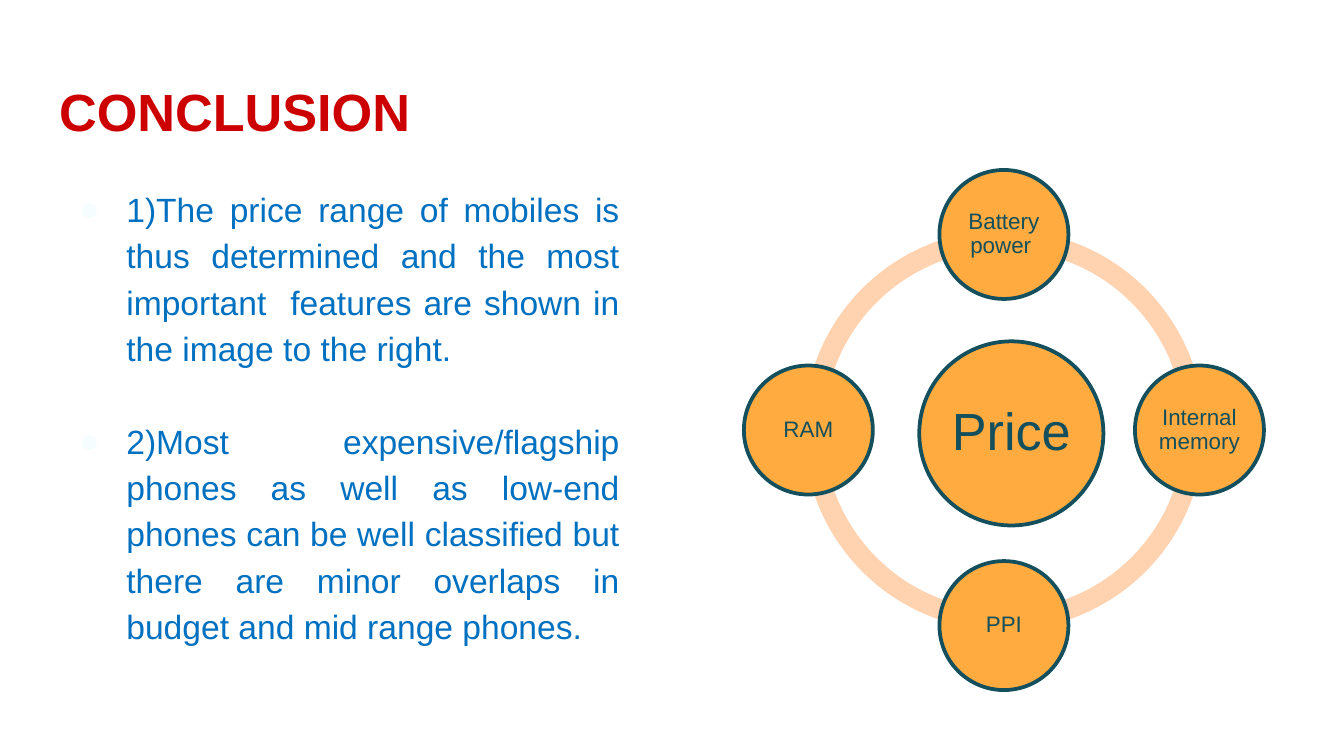
import math

import pptx
import pptx.dml.color
import pptx.enum.shapes
import pptx.enum.text
import pptx.util
from lxml import etree
from pptx.oxml.ns import qn

RED = pptx.dml.color.RGBColor(0xCC, 0x00, 0x00)
BLUE = pptx.dml.color.RGBColor(0x00, 0x70, 0xC0)
TEAL = pptx.dml.color.RGBColor(0x13, 0x4F, 0x5C)
ORANGE = pptx.dml.color.RGBColor(0xFF, 0xAB, 0x40)
PEACH = pptx.dml.color.RGBColor(0xFF, 0xD2, 0xB0)
PALE = pptx.dml.color.RGBColor(0xF5, 0xFD, 0xFF)

SHAPES = pptx.enum.shapes.MSO_SHAPE
ALIGN = pptx.enum.text.PP_ALIGN
ANCHOR = pptx.enum.text.MSO_ANCHOR

POINTS = [
    "1)The price range of mobiles is thus determined and the most "
    "important  features are shown in the image to the right.",
    "2)Most expensive/flagship phones as well as low-end phones can be well "
    "classified but there are minor overlaps in budget and mid range phones.",
]
FEATURES = ["Battery power ", "Internal memory", "PPI", "RAM"]


class SlideBuilder:
    """Draws styled elements on one slide, on a grid 100 columns wide with square cells."""

    def __init__(self, deck, font="Arial"):
        self.font = font
        self.cell = deck.slide_width / 100
        self.slide = deck.slides.add_slide(deck.slide_layouts[1])

    def grid(self, *cells):
        return [round(count * self.cell) for count in cells]

    def style(self, para, size, color, align, spacing=1.0, bold=False):
        para.font.name = self.font
        para.font.size = pptx.util.Pt(size)
        para.font.color.rgb = color
        para.font.bold = bold
        para.alignment = align
        para.line_spacing = spacing
        para.space_before = pptx.util.Pt(0)

    def inset(self, frame, cells):
        margin = self.grid(cells)[0]
        frame.margin_left = frame.margin_right = margin
        frame.margin_top = frame.margin_bottom = margin

    def placeholder(self, box, area):
        box.left, box.top, box.width, box.height = self.grid(*area)
        frame = box.text_frame
        frame.auto_size = pptx.enum.text.MSO_AUTO_SIZE.NONE
        frame.word_wrap = True
        frame.vertical_anchor = ANCHOR.TOP
        self.inset(frame, 1)
        return frame

    def title(self, text, area):
        frame = self.placeholder(self.slide.shapes.title, area)
        frame.text = text
        self.style(frame.paragraphs[0], 28, RED, ALIGN.LEFT, bold=True)

    def bullets(self, texts, area, gap):
        frame = self.placeholder(self.slide.placeholders[1], area)
        frame.text = "\n".join(texts)
        for index, para in enumerate(frame.paragraphs):
            self.style(para, 18, BLUE, ALIGN.JUSTIFY, spacing=1.15)
            if index:
                para.space_before = pptx.util.Pt(gap)
            self.bullet(para)

    def bullet(self, para):
        properties = para._p.get_or_add_pPr()
        margin, indent = self.grid(5, -3.5)
        properties.set("marL", str(margin))
        properties.set("indent", str(indent))
        color = etree.SubElement(properties, qn("a:buClr"))
        etree.SubElement(color, qn("a:srgbClr"), val=str(PALE))
        etree.SubElement(properties, qn("a:buChar"), char="●")

    def shape(self, kind, center, diameter, fill):
        left, top = (middle - diameter / 2 for middle in center)
        shape = self.slide.shapes.add_shape(kind, *self.grid(left, top, diameter, diameter))
        shape.shadow.inherit = False
        shape.fill.solid()
        shape.fill.fore_color.rgb = fill
        return shape

    def arc(self, center, diameter, start, sweep):
        arc = self.shape(SHAPES.BLOCK_ARC, center, diameter, PEACH)
        arc.line.fill.background()
        arc.adjustments[0] = start * 0.6
        arc.adjustments[1] = (start + sweep) % 360 * 0.6
        arc.adjustments[2] = 0.05

    def circle(self, text, center, diameter, size, inset):
        circle = self.shape(SHAPES.OVAL, center, diameter, ORANGE)
        circle.line.color.rgb = TEAL
        circle.line.width = pptx.util.Pt(2)
        frame = circle.text_frame
        frame.word_wrap = True
        frame.vertical_anchor = ANCHOR.MIDDLE
        self.inset(frame, inset)
        frame.text = text
        self.style(frame.paragraphs[0], size, TEAL, ALIGN.CENTER, spacing=0.9)

    def cycle(self, hub, features, center, orbit):
        step = 360 / len(features)
        for index in range(len(features)):
            self.arc(center, 29.8, index * step, step)
        self.circle(hub, (center[0] + 0.55, center[1] + 0.25), 13.7, 28, 0.4)
        for index, feature in enumerate(features):
            angle = math.radians(index * step - 90)
            place = (center[0] + orbit * math.cos(angle), center[1] + orbit * math.sin(angle))
            self.circle(feature, place, 9.6, 12, 0.2)


def main():
    deck = pptx.Presentation()
    deck.slide_width = pptx.util.Inches(10)
    deck.slide_height = deck.slide_width * 9 // 16
    page = SlideBuilder(deck)
    page.title("CONCLUSION", (3.4, 4.9, 93.2, 6.3))
    page.bullets(POINTS, (3.4, 12.6, 43.7, 37.4), gap=24.8)
    page.cycle("Price", FEATURES, center=(74.7, 32), orbit=14.55)
    deck.save("out.pptx")


if __name__ == "__main__":
    main()
